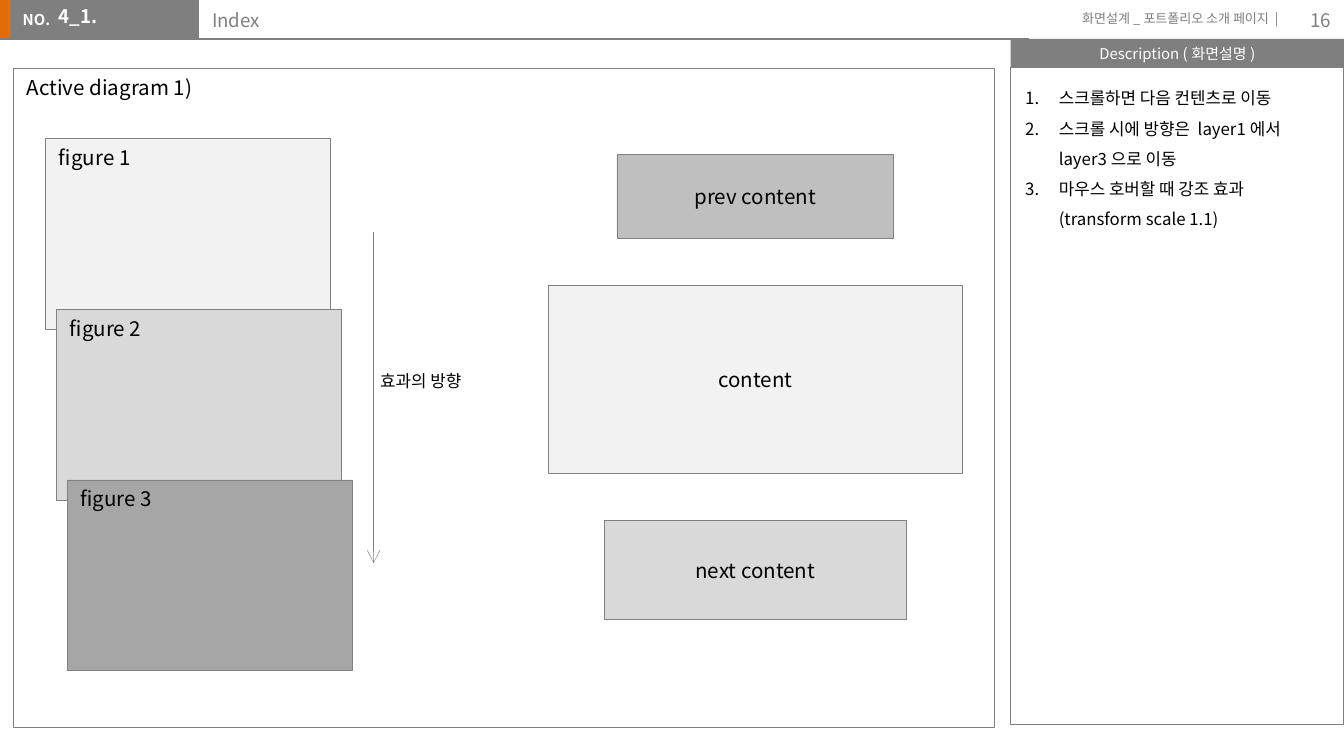
from lxml.etree import SubElement
from pptx import Presentation
from pptx.dml.color import RGBColor
from pptx.enum.shapes import MSO_CONNECTOR, MSO_SHAPE
from pptx.enum.text import MSO_ANCHOR, PP_ALIGN
from pptx.oxml.ns import qn
from pptx.util import Inches, Pt

THEME = dict(
    font="Noto Sans CJK KR", orange="E36C09", gray="7F7F7F", edge="808080",
    white="FFFFFF", black="000000", pale="F2F2F2", light="D9D9D9",
    mid="BFBFBF", dark="A6A6A6",
    tiny=7, label=8, body=9, head=10, figure=11, hair=0.25, rule=0.75,
)
WIDTH = 10
HEIGHT = WIDTH * 9 / 16
LEFT, CENTER, RIGHT = PP_ALIGN.LEFT, PP_ALIGN.CENTER, PP_ALIGN.RIGHT
TOP, MIDDLE = MSO_ANCHOR.TOP, MSO_ANCHOR.MIDDLE

BARS = [
    ((-0.01, 0, 0.12, 0.29), "orange", None),
    ((0.08, 0, 1.4, 0.29), "gray", None),
    ((7.52, 0.5, 2.48, 4.89), None, "gray"),
]
HEADER = [
    ("NO.", (0.07, 0.03, 0.41, 0.24), "label", "white", dict(bold=True, wrap=False)),
    ("화면설계_포트폴리오 소개 페이지 |", (7.63, 0.03, 1.98, 0.24), "tiny", "gray",
     dict(align=RIGHT)),
    ("16", (9.4, 0, 0.6, 0.3), "head", "gray", dict(align=RIGHT, anchor=MIDDLE)),
    ("4_1.", (0.09, -0.05, 1.1, 0.31), "head", "white",
     dict(bold=True, inset=0.1, before=2, indent=(0.5, -0.25))),
    ("Index", (1.48, -0.02, 6.14, 0.32), "head", "gray", dict(inset=0.1)),
]
NOTES = [
    "스크롤하면 다음 컨텐츠로 이동",
    "스크롤 시에 방향은 layer1에서 layer3으로 이동",
    "마우스 호버할 때 강조 효과 (transform scale 1.1)",
]
FIGURES = [("figure 1", "pale"), ("figure 2", "light"), ("figure 3", "dark")]
CONTENTS = [
    ("prev content", 2.06, 0.62, "mid"),
    ("content", 3.08, 1.4, "pale"),
    ("next content", 2.25, 0.74, "light"),
]


def color(name):
    return RGBColor.from_string(THEME[name])


def write(sp, lines, size, ink, align=LEFT, anchor=TOP, bold=False, wrap=True,
          inset=0.05, before=0, indent=None, numbered=False):
    tf = sp.text_frame
    tf.word_wrap = wrap
    tf.vertical_anchor = anchor
    tf.margin_left = tf.margin_right = Inches(0.1)
    tf.margin_top = tf.margin_bottom = Inches(inset)
    for i, line in enumerate(lines):
        p = tf.add_paragraph() if i else tf.paragraphs[0]
        p.alignment = align
        p.space_before = Pt(before)
        pPr = p._p.get_or_add_pPr()
        if indent:
            pPr.set("marL", str(Inches(indent[0])))
            pPr.set("indent", str(Inches(indent[1])))
        if numbered:
            p.line_spacing = 1.5
            SubElement(pPr, qn("a:buFont"), typeface=THEME["font"])
            SubElement(pPr, qn("a:buAutoNum"), type="arabicPeriod")
        r = p.add_run()
        r.text = line
        r.font.size = Pt(THEME[size])
        r.font.bold = bold
        r.font.color.rgb = color(ink)
        r.font.name = THEME["font"]
        SubElement(r._r.get_or_add_rPr(), qn("a:ea"), typeface=THEME["font"])


def box(at, fill=None, line=None, width="hair"):
    sp = s.shapes.add_shape(MSO_SHAPE.RECTANGLE, *map(Inches, at))
    sp.shadow.inherit = False
    if fill:
        sp.fill.solid()
        sp.fill.fore_color.rgb = color(fill)
    else:
        sp.fill.background()
    if line:
        sp.line.color.rgb = color(line)
        sp.line.width = Pt(THEME[width])
    else:
        sp.line.fill.background()
    return sp


def label(lines, at, size, ink, **style):
    write(s.shapes.add_textbox(*map(Inches, at)), lines, size, ink, **style)


def connect(start, end, ink, width, arrow=False):
    c = s.shapes.add_connector(MSO_CONNECTOR.STRAIGHT, *map(Inches, start + end))
    c.line.color.rgb = color(ink)
    c.line.width = Pt(THEME[width])
    if arrow:
        SubElement(c.line._get_or_add_ln(), qn("a:tailEnd"), type="arrow")
    SubElement(c._element.spPr, qn("a:effectLst"))


prs = Presentation()
prs.slide_width, prs.slide_height = Inches(WIDTH), Inches(HEIGHT)
s = prs.slides.add_slide(prs.slide_layouts[6])

for at, fill, line in BARS:
    box(at, fill, line, "rule")
connect((0, 0.29), (7.66, 0.29), "gray", "rule")
write(box((7.52, 0.29, 2.48, 0.21), "gray"), ["Description (화면설명)"],
      "label", "white", align=CENTER, anchor=MIDDLE, inset=0.04)
for text, at, size, ink, style in HEADER:
    label([text], at, size, ink, **style)
label(NOTES, (7.53, 0.53, 2.47, 4.87), "body", "black",
      indent=(0.25, -0.25), numbered=True)

box((0.1, 0.51, 7.3, 4.9), "white", "edge")

for i, (text, fill) in enumerate(FIGURES):
    sp = box((0.34 + 0.08 * i, 1.03 + 1.27 * i, 2.12, 1.42), fill, "edge")
    write(sp, [text], "figure", "black")
    if i == 0:
        label(["Active diagram 1)"], (0.1, 0.51, 1.56, 0.29), "figure", "black",
              wrap=False)

connect((2.78, 1.73), (2.78, 4.19), "edge", "hair", arrow=True)
label(["효과의 방향"], (2.73, 2.71, 0.94, 0.25), "body", "black", wrap=False)

axis, top, gap = 5.62, 1.15, 0.35
for text, w, h, fill in CONTENTS:
    sp = box((axis - w / 2, top, w, h), fill, "edge")
    write(sp, [text], "figure", "black", align=CENTER, anchor=MIDDLE)
    top += h + gap

prs.save("out.pptx")
